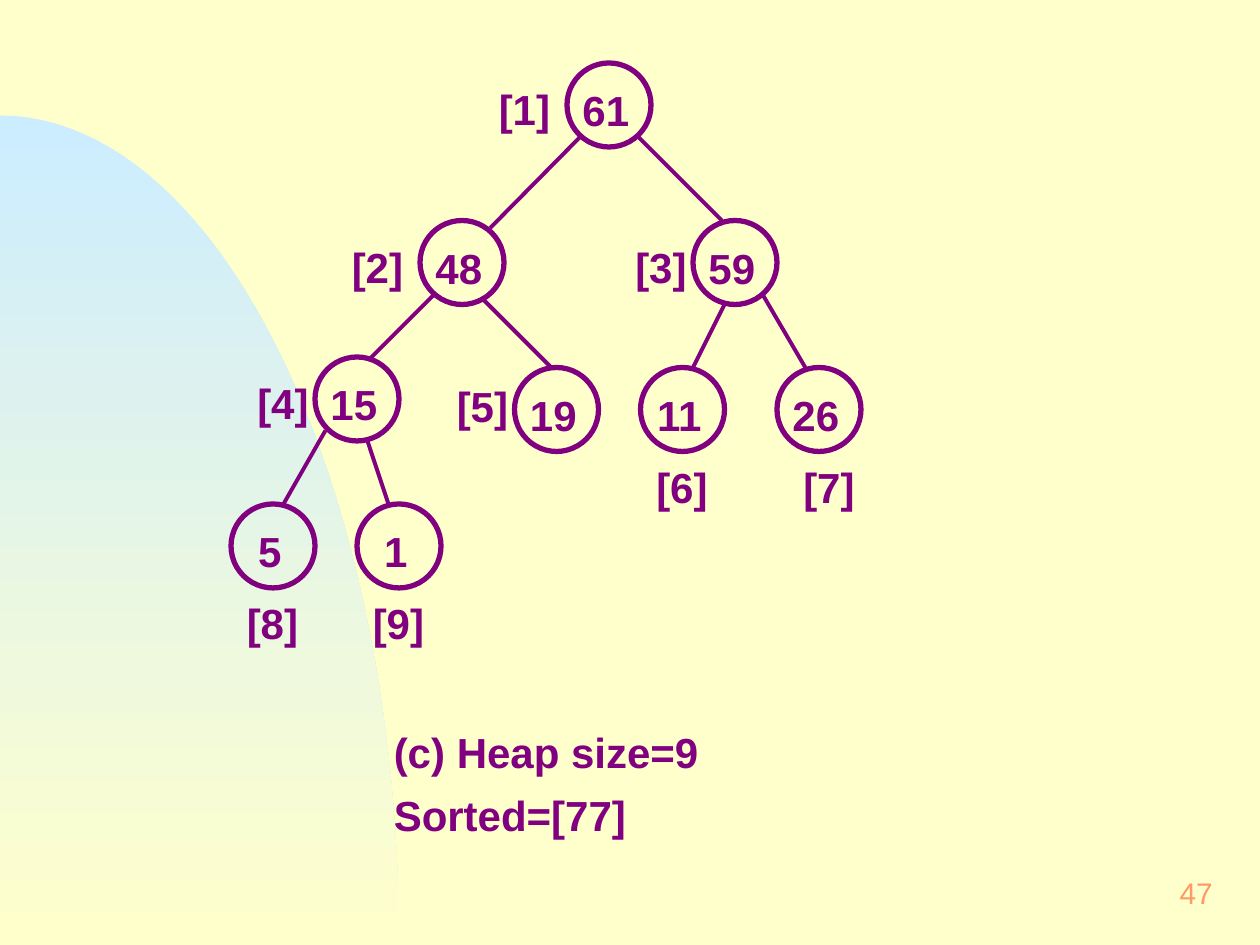
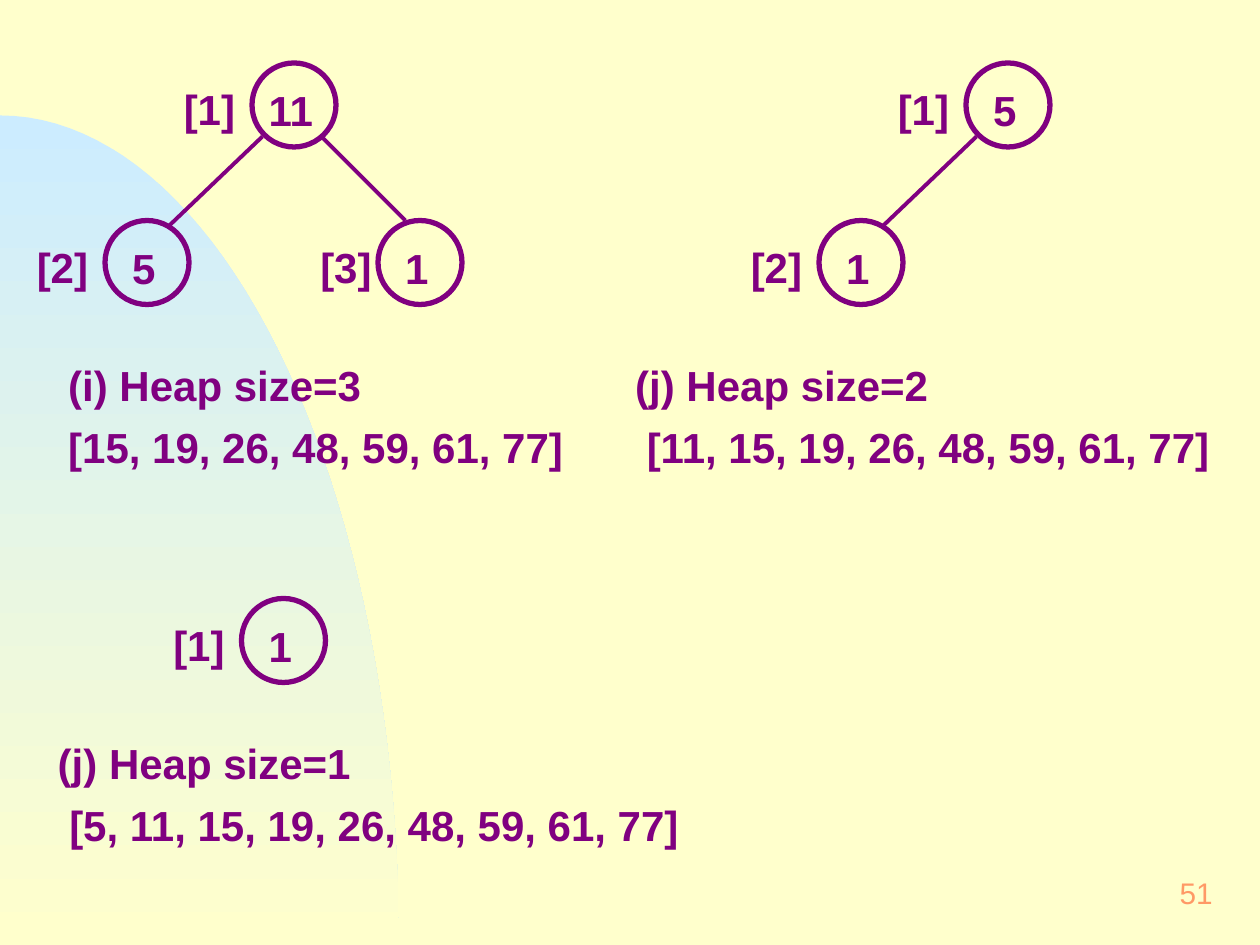
import math

import pptx
import pptx.dml.color
import pptx.enum.shapes
import pptx.enum.text
import pptx.oxml.ns
import pptx.util
from lxml import etree

CREAM = pptx.dml.color.RGBColor(0xFF, 0xFF, 0xCC)
SKY = pptx.dml.color.RGBColor(0xCC, 0xEC, 0xFF)
PURPLE = pptx.dml.color.RGBColor(0x80, 0x00, 0x80)
ORANGE = pptx.dml.color.RGBColor(0xFF, 0x99, 0x66)

# The slide is a grid of 120 columns and 90 rows, all lengths are in cells
CELL = pptx.util.Inches(10) // 120
COLUMNS, ROWS = 120, 90
NODE = 8
HILL_WIDTH, HILL_HEIGHT = 38, 79
LABEL_WIDTH, LABEL_HEIGHT = 10, 6.25
LEFT, NEAR_LEFT = (-8, 0.75), (-7, 0.75)
BESIDE, BELOW, BELOW_RIGHT = (-7, 0), (0, 7.75), (1, 7.75)

HEAP_FONT = {"name": "Arial", "size": pptx.util.Pt(24), "bold": True}
NUMBER_FONT = {"name": "Arial", "size": pptx.util.Pt(17), "bold": False}
TEXT_INSETS = {"margin_left": 1.5, "margin_right": 1.5, "margin_top": 1.2, "margin_bottom": 0.5}
NODE_INSETS = {"margin_left": 0, "margin_right": 0.6, "margin_top": 0.9, "margin_bottom": 0}

# nodes: column, row, key, index, offset of the index from the node
# edges: start column and row, end column and row
# captions: column, row, width, indent of the second line, lines
SLIDES = [
    {
        "number": "47",
        "nodes": [
            (54, 6, "61", "[1]", LEFT),
            (40, 21, "48", "[2]", LEFT),
            (66, 21, "59", "[3]", NEAR_LEFT),
            (30, 34, "15", "[4]", NEAR_LEFT),
            (49, 35, "19", "[5]", BESIDE),
            (61, 35, "11", "[6]", BELOW),
            (74, 35, "26", "[7]", BELOW_RIGHT),
            (22, 48, "5", "[8]", BELOW),
            (34, 48, "1", "[9]", BELOW),
        ],
        "edges": [
            (55.2, 13.1, 46.7, 21.7), (68.75, 21, 60.75, 13),
            (41.3, 28.1, 35.3, 34.1), (52.4, 34.9, 45.8, 28.3),
            (69, 29, 66, 35), (76.7, 35, 72.6, 28),
            (31, 41, 27, 48), (35, 42, 37, 48),
        ],
        "captions": [(36, 68, 39, 0, ["(c) Heap size=9", "Sorted=[77]"])],
    },
    {
        "number": "51",
        "nodes": [
            (24, 6, "11", "[1]", LEFT),
            (10, 21, "5", "[2]", LEFT),
            (36, 21, "1", "[3]", NEAR_LEFT),
            (92, 6, "5", "[1]", LEFT),
            (78, 21, "1", "[2]", LEFT),
            (23, 57, "1", "[1]", LEFT),
        ],
        "edges": [(25, 13, 16, 21.6), (38.6, 21, 30.6, 13), (93, 13, 84, 21.6)],
        "captions": [
            (5, 33, 53, 0, ["(i) Heap size=3", "[15, 19, 26, 48, 59, 61, 77]"]),
            (59, 33, 59, 1.1, ["(j) Heap size=2", "[11, 15, 19, 26, 48, 59, 61, 77]"]),
            (4, 69, 72, 1.1, ["(j) Heap size=1", "[5, 11, 15, 19, 26, 48, 59, 61, 77]"]),
        ],
    },
]


def cells(*counts):
    return [round(count * CELL) for count in counts]


def write(shape, lines, align, insets=TEXT_INSETS, font=HEAP_FONT, color=PURPLE, indent=0):
    """Fill a shape with lines of text; indent applies to every line but the first."""
    frame = shape.text_frame
    frame.word_wrap = True
    for side, inset in insets.items():
        setattr(frame, side, round(inset * CELL))
    for position, line in enumerate(lines):
        paragraph = frame.paragraphs[0] if position == 0 else frame.add_paragraph()
        paragraph.text = line
        paragraph.alignment = align
        if position:
            paragraph.space_before = pptx.util.Pt(7)
            paragraph._p.get_or_add_pPr().set("marL", str(round(indent * CELL)))
        for name, value in font.items():
            setattr(paragraph.font, name, value)
        paragraph.font.color.rgb = color


ALIGN = pptx.enum.text.PP_ALIGN
MIDDLE = pptx.enum.text.MSO_ANCHOR.MIDDLE

deck = pptx.Presentation()
deck.slide_width, deck.slide_height = cells(COLUMNS, ROWS)
layout = deck.slide_layouts[6]
layout.background.fill.solid()
layout.background.fill.fore_color.rgb = CREAM
slides = [deck.slides.add_slide(layout) for _ in SLIDES]

# The hill is a quarter ellipse, built on a slide and moved to the shared layout
arc = [math.radians(2 * step) for step in range(46)]
outline = [
    cells(HILL_WIDTH * math.sin(angle), ROWS - HILL_HEIGHT * math.cos(angle)) for angle in arc
]
builder = slides[0].shapes.build_freeform(*outline[0])
builder.add_line_segments(outline[1:] + [cells(0, ROWS)], close=True)
hill = builder.convert_to_shape()
hill.shadow.inherit = False
hill.line.fill.background()
hill.fill.gradient()
hill.fill.gradient_angle = 270
for stop, color in zip(hill.fill.gradient_stops, (SKY, CREAM)):
    stop.color.rgb = color
layout.shapes.element.append(hill.element)

for slide, content in zip(slides, SLIDES):
    shapes = slide.shapes

    page_number = shapes.add_textbox(*cells(92, 82, 25, 6))
    page_number.text_frame.vertical_anchor = MIDDLE
    write(page_number, [content["number"]], ALIGN.RIGHT,
          {**TEXT_INSETS, "margin_top": 0.75, "margin_bottom": 0.75}, NUMBER_FONT, ORANGE)

    for ends in content["edges"]:
        edge = shapes.add_connector(pptx.enum.shapes.MSO_CONNECTOR.STRAIGHT, *cells(*ends))
        edge.line.color.rgb = PURPLE
        edge.line.width = pptx.util.Pt(2.25)
        etree.SubElement(edge._element.spPr, pptx.oxml.ns.qn("a:effectLst"))

    for column, row, key, index, (right, down) in content["nodes"]:
        node = shapes.add_shape(
            pptx.enum.shapes.MSO_SHAPE.OVAL, *cells(column, row, NODE, NODE))
        node.shadow.inherit = False
        node.fill.background()
        node.line.color.rgb = PURPLE
        node.line.width = pptx.util.Pt(3)
        node.text_frame.vertical_anchor = MIDDLE
        write(node, [key], ALIGN.CENTER, NODE_INSETS)

        label = shapes.add_textbox(
            *cells(column + right, row + down, LABEL_WIDTH, LABEL_HEIGHT))
        write(label, [index], ALIGN.LEFT)

    for column, row, width, indent, lines in content["captions"]:
        caption = shapes.add_textbox(*cells(column, row, width, 12))
        write(caption, lines, ALIGN.LEFT, indent=indent)

deck.save("out.pptx")
